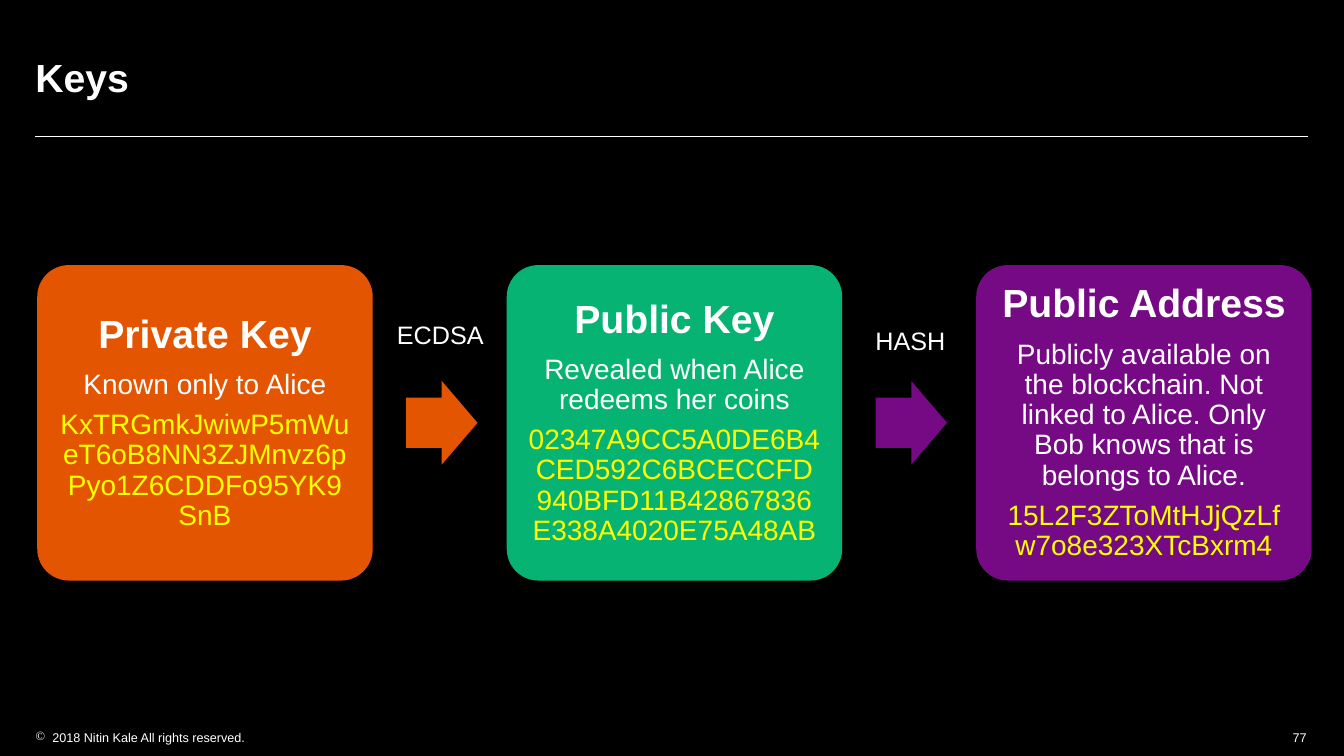
from lxml.etree import SubElement
from pptx import Presentation
from pptx.dml.color import RGBColor
from pptx.enum.shapes import MSO_CONNECTOR, MSO_SHAPE
from pptx.enum.text import MSO_ANCHOR, PP_ALIGN
from pptx.oxml.ns import qn
from pptx.util import Inches, Pt

WIDE, HIGH = 13.34, 7.5
EDGE, SPAN = 0.35, 12.63
COLORS = {"black": "000000", "white": "FFFFFF", "yellow": "FFFF00",
          "orange": "E35500", "green": "06B372", "purple": "760A85"}

# Card row: three columns with an arrow in each gap
LEFT, STEP = 0.37, 4.66
TOP, CARD_W, CARD_H = 2.63, 3.33, 3.13
ARROW_X, ARROW_W, ARROW_H = 3.66, 0.71, 0.83

CARDS = [
    ("orange", "Private Key", "Known only to Alice",
     "KxTRGmkJwiwP5mWueT6oB8NN3ZJMnvz6pPyo1Z6CDDFo95YK9SnB"),
    ("green", "Public Key", "Revealed when Alice redeems her coins",
     "02347A9CC5A0DE6B4CED592C6BCECCFD940BFD11B42867836E338A4020E75A48AB"),
    ("purple", "Public Address",
     "Publicly available on the blockchain. Not linked to Alice. "
     "Only Bob knows that is belongs to Alice.",
     "15L2F3ZToMtHJjQzLfw7o8e323XTcBxrm4"),
]
# Colour, label, label left and top
STEPS = [("orange", "ECDSA", 3.94, 3.17), ("purple", "HASH", 8.69, 3.23)]


def color(name):
    return RGBColor.from_string(COLORS[name])


def place(x, y, w, h):
    return [Inches(n) for n in (x, y, w, h)]


def frame(shape, inset=0, anchor=MSO_ANCHOR.TOP, wrap=True):
    box = shape.text_frame
    box.margin_left = box.margin_right = Inches(inset)
    box.margin_top = box.margin_bottom = Inches(inset)
    box.vertical_anchor = anchor
    box.word_wrap = wrap
    return box


def write(par, text, size=18, tint="white", bold=False,
          align=PP_ALIGN.LEFT, line=1.0, after=0, mark=None):
    if mark:
        props = par._p.get_or_add_pPr()
        props.set("marL", str(Inches(0.17)))
        props.set("indent", str(Inches(-0.17)))
        SubElement(props, qn("a:buChar"), char=mark)
    par.alignment = align
    par.line_spacing = line
    par.space_after = Pt(after)
    run = par.add_run()
    run.text = text
    run.font.name = "Arial"
    run.font.size = Pt(size)
    run.font.bold = bold
    run.font.color.rgb = color(tint)


def block(slide, kind, area, tint, ratios):
    shape = slide.shapes.add_shape(kind, *place(*area))
    shape.shadow.inherit = False
    shape.fill.solid()
    shape.fill.fore_color.rgb = color(tint)
    shape.line.fill.background()
    for i, ratio in enumerate(ratios):
        shape.adjustments[i] = ratio
    return shape


def card(slide, col, tint, head, note, key):
    area = (LEFT + col * STEP, TOP, CARD_W, CARD_H)
    shape = block(slide, MSO_SHAPE.ROUNDED_RECTANGLE, area, tint, [0.1])
    box = frame(shape, inset=0.12, anchor=MSO_ANCHOR.MIDDLE)
    parts = [(head, 28, "white", True), (note, 20, "white", False),
             (key, 20, "yellow", False)]
    for i, (text, size, ink, bold) in enumerate(parts):
        par = box.add_paragraph() if i else box.paragraphs[0]
        write(par, text, size=size, tint=ink, bold=bold,
              align=PP_ALIGN.CENTER, line=0.9, after=0.35 * size)


def arrow(slide, col, tint):
    y = TOP + (CARD_H - ARROW_H) / 2
    area = (LEFT + col * STEP + ARROW_X, y, ARROW_W, ARROW_H)
    block(slide, MSO_SHAPE.RIGHT_ARROW, area, tint, [0.6, 0.5])


def label(slide, text, area, wrap=True, **style):
    shape = slide.shapes.add_textbox(*place(*area))
    write(frame(shape, wrap=wrap).paragraphs[0], text, **style)


def rule(slide, y):
    ends = [Inches(n) for n in (EDGE, y, EDGE + SPAN, y)]
    line = slide.shapes.add_connector(MSO_CONNECTOR.STRAIGHT, *ends)
    line.line.color.rgb = color("white")
    line.line.width = Pt(0.5)
    SubElement(line._element.spPr, qn("a:effectLst"))


def main():
    deck = Presentation()
    deck.slide_width, deck.slide_height = Inches(WIDE), Inches(HIGH)
    slide = deck.slides.add_slide(deck.slide_layouts[5])
    slide.background.fill.solid()
    slide.background.fill.fore_color.rgb = color("black")

    # Title and rule
    title = slide.shapes.title
    title.left, title.top, title.width, title.height = place(
        EDGE, 0.35, SPAN, 0.83)
    box = frame(title, anchor=MSO_ANCHOR.MIDDLE)
    write(box.paragraphs[0], "Keys", size=28, bold=True)
    rule(slide, 1.35)

    # Cards, arrows and their labels
    for col, data in enumerate(CARDS):
        card(slide, col, *data)
    for col, (tint, text, x, y) in enumerate(STEPS):
        arrow(slide, col, tint)
        label(slide, text, (x, y, 1.23, 0.3))

    # Footer
    label(slide, "2018 Nitin Kale All rights reserved.",
          (EDGE, 7.24, 2.11, 0.15), wrap=False, size=9, mark="©")
    label(slide, "77", (12.82, 7.24, 0.15, 0.15), wrap=False, size=9,
          align=PP_ALIGN.RIGHT)

    deck.save("out.pptx")


if __name__ == "__main__":
    main()
